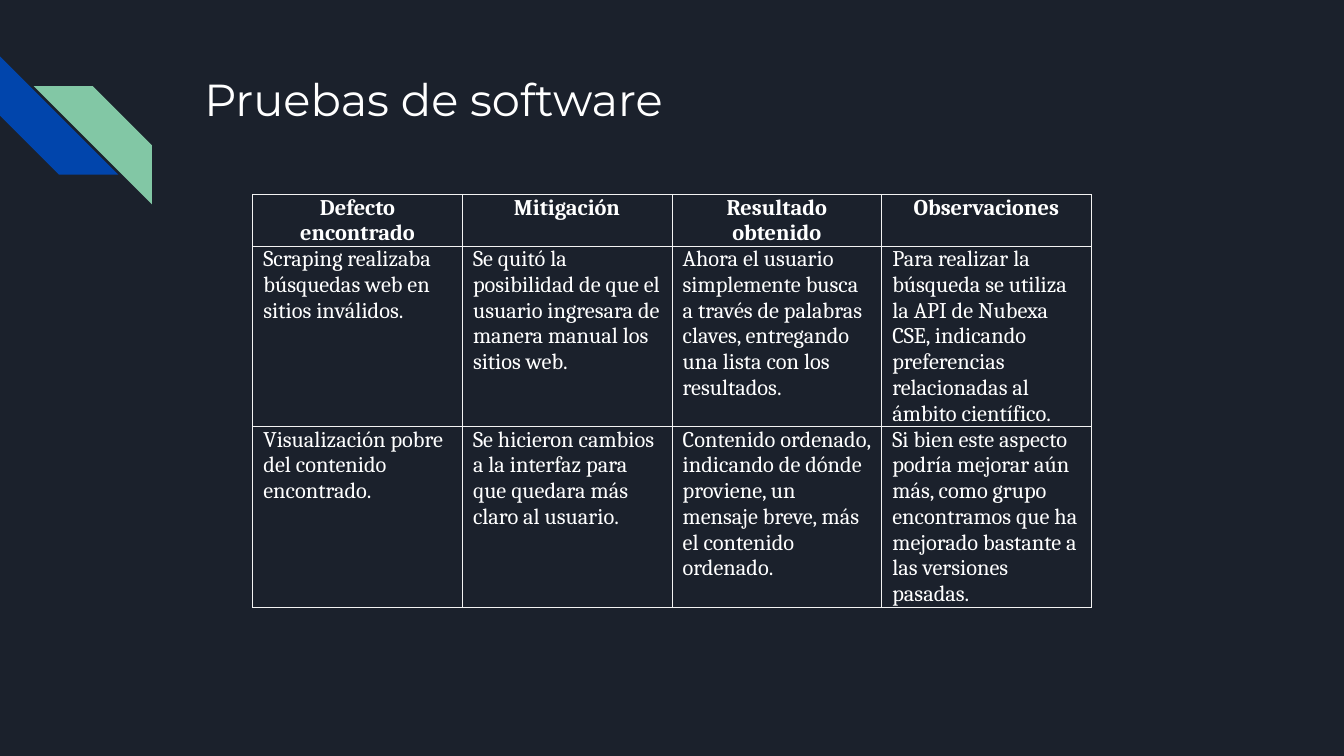
from lxml import etree
from pptx import Presentation
from pptx.dml.color import RGBColor
from pptx.enum.shapes import MSO_SHAPE
from pptx.enum.text import MSO_ANCHOR, MSO_AUTO_SIZE, PP_ALIGN
from pptx.oxml.ns import qn
from pptx.util import Inches, Pt

STRIPE = MSO_SHAPE.DIAGONAL_STRIPE
TOP = MSO_ANCHOR.TOP
NO_AUTOFIT = MSO_AUTO_SIZE.NONE
LEFT, CENTER = PP_ALIGN.LEFT, PP_ALIGN.CENTER

NIGHT = RGBColor(0x1B, 0x21, 0x2C)
BLUE = RGBColor(0x01, 0x45, 0xAC)
GREEN = RGBColor(0x82, 0xC7, 0xA5)
WHITE = RGBColor(0xFF, 0xFF, 0xFF)
BORDER = "F3F3F3"

SLIDE_WIDTH = Inches(10)
SLIDE_HEIGHT = SLIDE_WIDTH * 9 // 16

TITLE_FONT = {"name": "Montserrat", "size": Pt(24), "bold": False}
CELL_FONT = {"name": "Cambria", "size": Pt(12)}
CELL_MARGINS = {"margin_left": Inches(0.08), "margin_right": Inches(0.08),
                "margin_top": 0, "margin_bottom": 0, "vertical_anchor": TOP}
TITLE_FRAME = {"margin_left": Inches(0.1), "margin_right": Inches(0.1),
               "margin_top": Inches(0.1), "margin_bottom": Inches(0.1),
               "vertical_anchor": TOP, "word_wrap": True, "auto_size": NO_AUTOFIT}

COLUMN = Inches(1.56)
ROWS = [Inches(0.38), Inches(1.34), Inches(1.34)]
STRIPE_SIZE = Inches(0.88)

TESTS = [
    ["Defecto encontrado", "Mitigación", "Resultado obtenido", "Observaciones"],
    ["Scraping realizaba búsquedas web en sitios inválidos.",
     "Se quitó la posibilidad de que el usuario ingresara de manera manual los sitios web.",
     "Ahora el usuario simplemente busca a través de palabras claves, "
     "entregando una lista con los resultados.",
     "Para realizar la búsqueda se utiliza la API de Nubexa CSE, indicando "
     "preferencias relacionadas al ámbito científico."],
    ["Visualización pobre del contenido encontrado.",
     "Se hicieron cambios a la interfaz para que quedara más claro al usuario.",
     "Contenido ordenado, indicando de dónde proviene, un mensaje breve, "
     "más el contenido ordenado.",
     "Si bien este aspecto podría mejorar aún más, como grupo encontramos que "
     "ha mejorado bastante a las versiones pasadas."],
]


def apply_format(target, values):
    for attribute, value in values.items():
        setattr(target, attribute, value)


def draw_borders(cell):
    properties = cell._tc.get_or_add_tcPr()
    for position, side in enumerate(("a:lnL", "a:lnR", "a:lnT", "a:lnB")):
        line = etree.Element(qn(side), w=str(Pt(0.5)))
        fill = etree.SubElement(line, qn("a:solidFill"))
        etree.SubElement(fill, qn("a:srgbClr"), val=BORDER)
        properties.insert(position, line)


deck = Presentation()
deck.slide_width, deck.slide_height = SLIDE_WIDTH, SLIDE_HEIGHT
slide = deck.slides.add_slide(deck.slide_layouts[5])
slide.background.fill.solid()
slide.background.fill.fore_color.rgb = NIGHT

for left, top, rotation, color in [(0, 0.42, 270, BLUE), (0.25, 0.64, 90, GREEN)]:
    stripe = slide.shapes.add_shape(STRIPE, Inches(left), Inches(top), STRIPE_SIZE, STRIPE_SIZE)
    stripe.rotation = rotation
    stripe.shadow.inherit = False
    stripe.fill.solid()
    stripe.fill.fore_color.rgb = color
    stripe.line.fill.background()

title = slide.shapes.title
apply_format(title, {"left": Inches(1.42), "top": Inches(0.43),
                     "width": Inches(7.7), "height": Inches(1)})
title.text = "Pruebas de software"
apply_format(title.text_frame, TITLE_FRAME)
heading = title.text_frame.paragraphs[0]
heading.alignment = LEFT
apply_format(heading.runs[0].font, TITLE_FONT)
heading.runs[0].font.color.rgb = WHITE

tests = slide.shapes.add_table(len(TESTS), len(TESTS[0]), Inches(1.88), Inches(1.45),
                               COLUMN * len(TESTS[0]), sum(ROWS)).table
apply_format(tests, {"first_row": False, "horz_banding": False})
for column in tests.columns:
    column.width = COLUMN
for row_index, (height, texts) in enumerate(zip(ROWS, TESTS)):
    tests.rows[row_index].height = height
    is_header = row_index == 0
    for column_index, text in enumerate(texts):
        cell = tests.cell(row_index, column_index)
        cell.text = text
        apply_format(cell, CELL_MARGINS)
        cell.fill.background()
        draw_borders(cell)
        paragraph = cell.text_frame.paragraphs[0]
        paragraph.alignment = CENTER if is_header else LEFT
        font = paragraph.runs[0].font
        apply_format(font, {**CELL_FONT, "bold": is_header})
        font.color.rgb = WHITE

deck.save("out.pptx")
